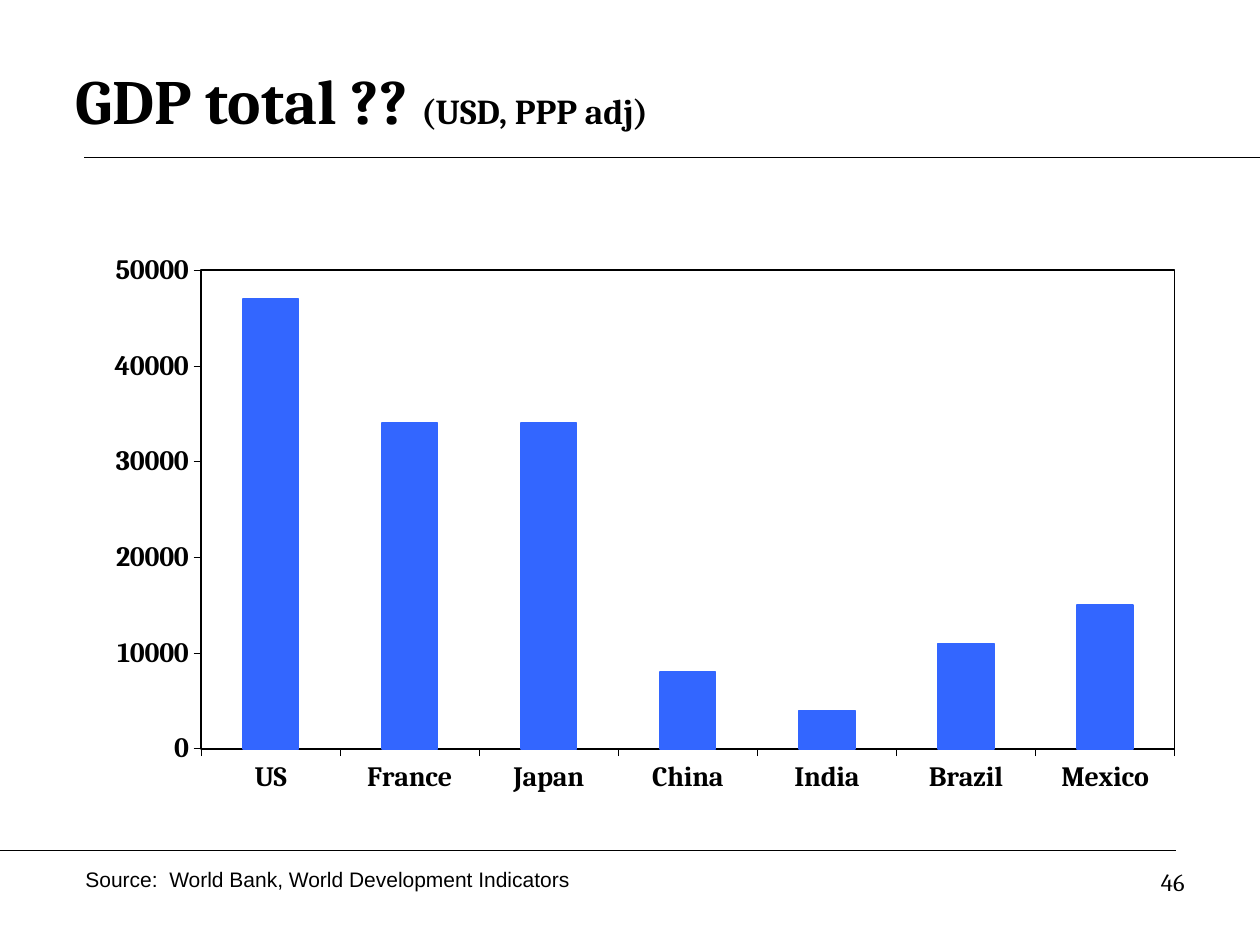
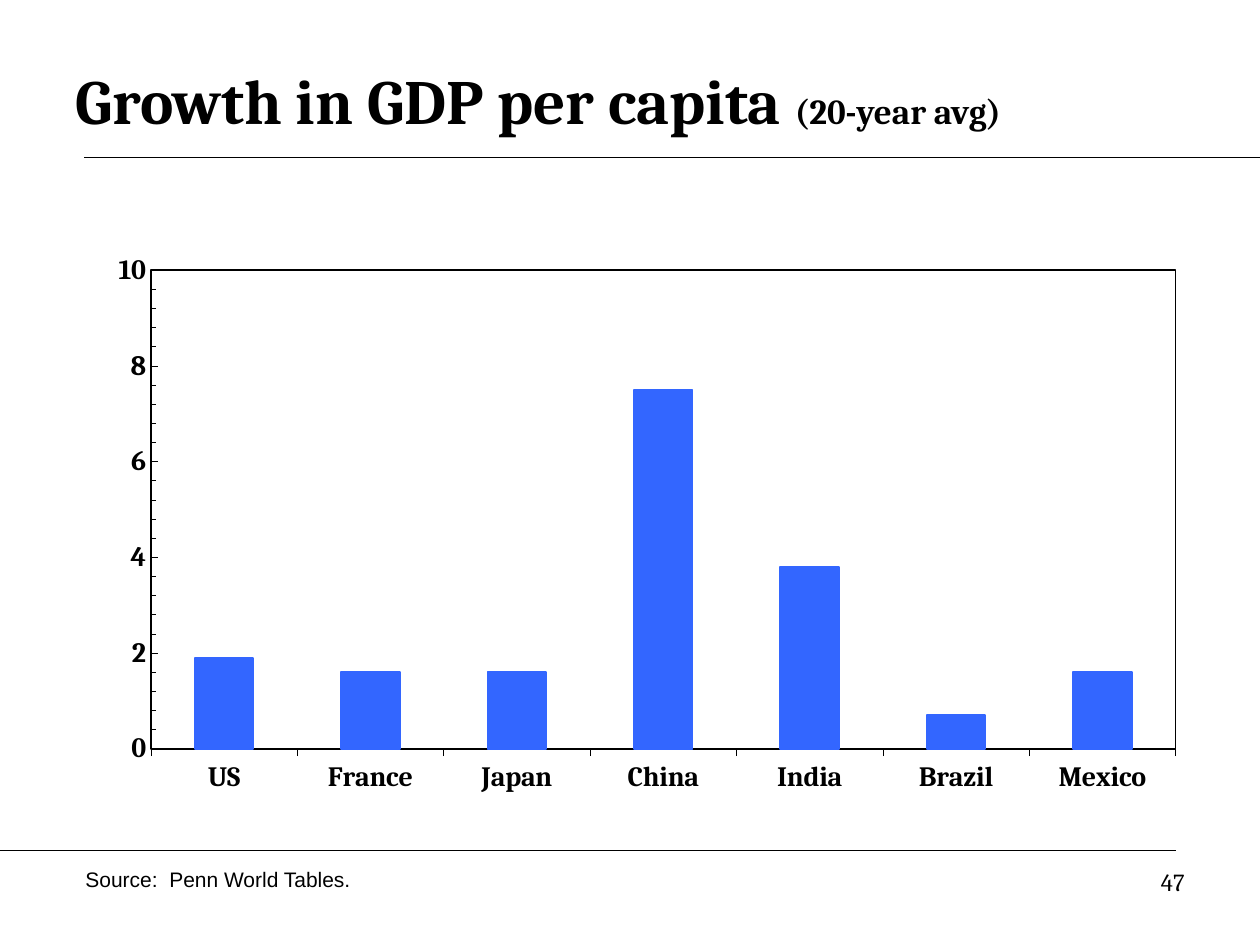
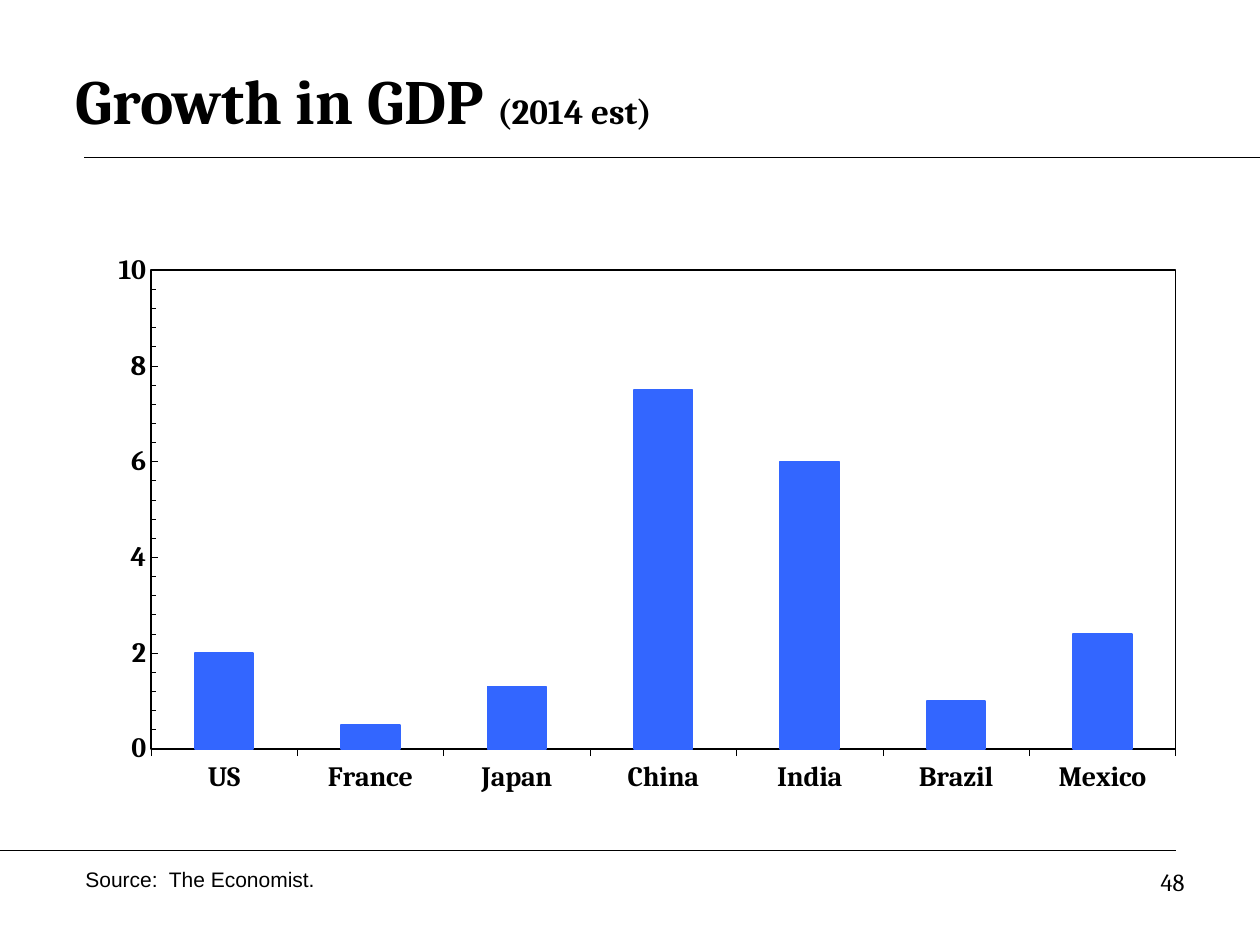
from dataclasses import dataclass

from lxml import etree
from pptx import Presentation
from pptx.chart.data import CategoryChartData
from pptx.dml.color import RGBColor
from pptx.enum.chart import XL_CHART_TYPE, XL_TICK_MARK
from pptx.enum.shapes import MSO_CONNECTOR
from pptx.enum.text import MSO_ANCHOR, PP_ALIGN
from pptx.oxml import parse_xml
from pptx.oxml.ns import nsdecls, qn
from pptx.util import Inches, Pt

COLUMNS = XL_CHART_TYPE.COLUMN_CLUSTERED
STRAIGHT = MSO_CONNECTOR.STRAIGHT
TICK_NONE, TICK_IN, TICK_OUT = XL_TICK_MARK.NONE, XL_TICK_MARK.INSIDE, XL_TICK_MARK.OUTSIDE
MIDDLE, TOP = MSO_ANCHOR.MIDDLE, MSO_ANCHOR.TOP
LEFT, RIGHT = PP_ALIGN.LEFT, PP_ALIGN.RIGHT

COLORS = {"ink": "000000", "bar": "3366FF"}
SERIF, SANS = "Cambria", "Arial"
TITLE_ONLY = 5
FIRST_PAGE = 46
COUNTRIES = ["US", "France", "Japan", "China", "India", "Brazil", "Mexico"]

TITLE_BOX = (0.5, 0.33, 9, 0.92)
CHART_BOX = (0.56, 1.81, 8.86, 4.84)
FOOTER_BOX = (0, 6.75, 9.33, 0.6)


@dataclass
class Scale:
    top: float
    step: float
    number_format: str
    major_tick: object
    minor_tick: object
    plot_left: float
    plot_width: float


DOLLARS = Scale(50000, 10000, "General", TICK_OUT, TICK_NONE, 0.117, 0.872)
PERCENT = Scale(10, 2, "0", TICK_IN, TICK_IN, 0.072, 0.918)

SLIDES = [
    ("GDP total ?? ", "(USD, PPP adj)", DOLLARS,
     [47000, 34000, 34000, 8000, 4000, 11000, 15000],
     "Source:  World Bank, World Development Indicators"),
    ("Growth in GDP per capita ", "(20-year avg)", PERCENT,
     [1.9, 1.6, 1.6, 7.5, 3.8, 0.7, 1.6],
     "Source:  Penn World Tables."),
    ("Growth in GDP ", "(2014 est)", PERCENT,
     [2, 0.5, 1.3, 7.5, 6, 1, 2.4],
     "Source:  The Economist."),
]


def rgb(name):
    return RGBColor.from_string(COLORS[name])


def style_font(font, size, face, bold=False):
    font.size = Pt(size)
    font.name = face
    font.bold = bold
    font.color.rgb = rgb("ink")


def write_text(frame, *parts, face=SERIF, bold=False, align=LEFT, anchor=TOP):
    frame.word_wrap = True
    frame.vertical_anchor = anchor
    paragraph = frame.paragraphs[0]
    paragraph.alignment = align
    for text, size in parts:
        run = paragraph.add_run()
        run.text = text
        style_font(run.font, size, face, bold)


def add_rule(slide, left, top, right):
    rule = slide.shapes.add_connector(
        STRAIGHT, Inches(left), Inches(top), Inches(right), Inches(top))
    rule.line.color.rgb = rgb("ink")
    rule.line.width = Pt(0.75)
    etree.SubElement(rule._element.spPr, qn("a:effectLst"))


def add_heading(slide, box, heading, qualifier):
    left, top, width, height = box
    title = slide.shapes.title
    title.left, title.top, title.width, title.height = map(Inches, box)
    write_text(title.text_frame, (heading, 36), (qualifier, 20), bold=True, anchor=MIDDLE)
    add_rule(slide, left + 0.17, top + height, left + width + 0.5)


def add_footer(slide, box, source, page):
    left, top, width, height = box
    add_rule(slide, left, top, left + width)
    text_top = Inches(top + 0.08)
    number = slide.shapes.add_textbox(
        Inches(left + width - 2.16), text_top, Inches(2.33), Inches(height - 0.08))
    write_text(number.text_frame, (str(page), 14), align=RIGHT)
    credit = slide.shapes.add_textbox(
        Inches(left + 0.58), text_top, Inches(4.83), Inches(0.3))
    write_text(credit.text_frame, (source, 12), face=SANS)


def place_plot(chart, scale):
    plot_area = chart._chartSpace.chart.plotArea
    for layout in plot_area.findall(qn("c:layout")):
        plot_area.remove(layout)
    position = {"x": scale.plot_left, "y": 0.069, "w": scale.plot_width, "h": 0.785}
    lengths = "".join(f'<c:{key} val="{value}"/>' for key, value in position.items())
    plot_area.insert(0, parse_xml(
        f'<c:layout {nsdecls("c")}><c:manualLayout><c:layoutTarget val="inner"/>'
        f'<c:xMode val="edge"/><c:yMode val="edge"/>{lengths}'
        '</c:manualLayout></c:layout>'))
    plot_area.append(parse_xml(
        f'<c:spPr {nsdecls("c", "a")}><a:noFill/><a:ln w="{Pt(1)}"><a:solidFill>'
        f'<a:srgbClr val="{COLORS["ink"]}"/></a:solidFill></a:ln></c:spPr>'))


def style_axis(axis, major_tick, minor_tick):
    axis.has_major_gridlines = False
    axis.major_tick_mark = major_tick
    axis.minor_tick_mark = minor_tick
    axis.format.line.color.rgb = rgb("ink")
    axis.format.line.width = Pt(0.25)
    style_font(axis.tick_labels.font, 16, SERIF, bold=True)


def add_country_chart(slide, box, values, scale):
    chart_data = CategoryChartData()
    chart_data.categories = COUNTRIES
    chart_data.add_series("Series 1", values)
    chart = slide.shapes.add_chart(COLUMNS, *map(Inches, box), chart_data).chart
    chart.has_legend = False
    chart.has_title = False
    style_font(chart.font, 18, SANS, bold=True)

    columns = chart.plots[0]
    columns.gap_width = 150
    columns.vary_by_categories = False
    bars = columns.series[0].format
    bars.fill.solid()
    bars.fill.fore_color.rgb = rgb("bar")
    bars.line.color.rgb = rgb("bar")
    bars.line.width = Pt(1)

    style_axis(chart.category_axis, TICK_OUT, TICK_NONE)
    style_axis(chart.value_axis, scale.major_tick, scale.minor_tick)
    amounts = chart.value_axis
    amounts.minimum_scale = 0
    amounts.maximum_scale = scale.top
    amounts.major_unit = scale.step
    amounts.tick_labels.number_format = scale.number_format
    amounts.tick_labels.number_format_is_linked = False
    place_plot(chart, scale)


def main():
    deck = Presentation()
    deck.slide_width, deck.slide_height = Inches(10), Inches(7.5)
    for page, (heading, qualifier, scale, values, source) in enumerate(SLIDES, FIRST_PAGE):
        slide = deck.slides.add_slide(deck.slide_layouts[TITLE_ONLY])
        add_heading(slide, TITLE_BOX, heading, qualifier)
        add_country_chart(slide, CHART_BOX, values, scale)
        add_footer(slide, FOOTER_BOX, source, page)
    deck.save("out.pptx")


if __name__ == "__main__":
    main()
